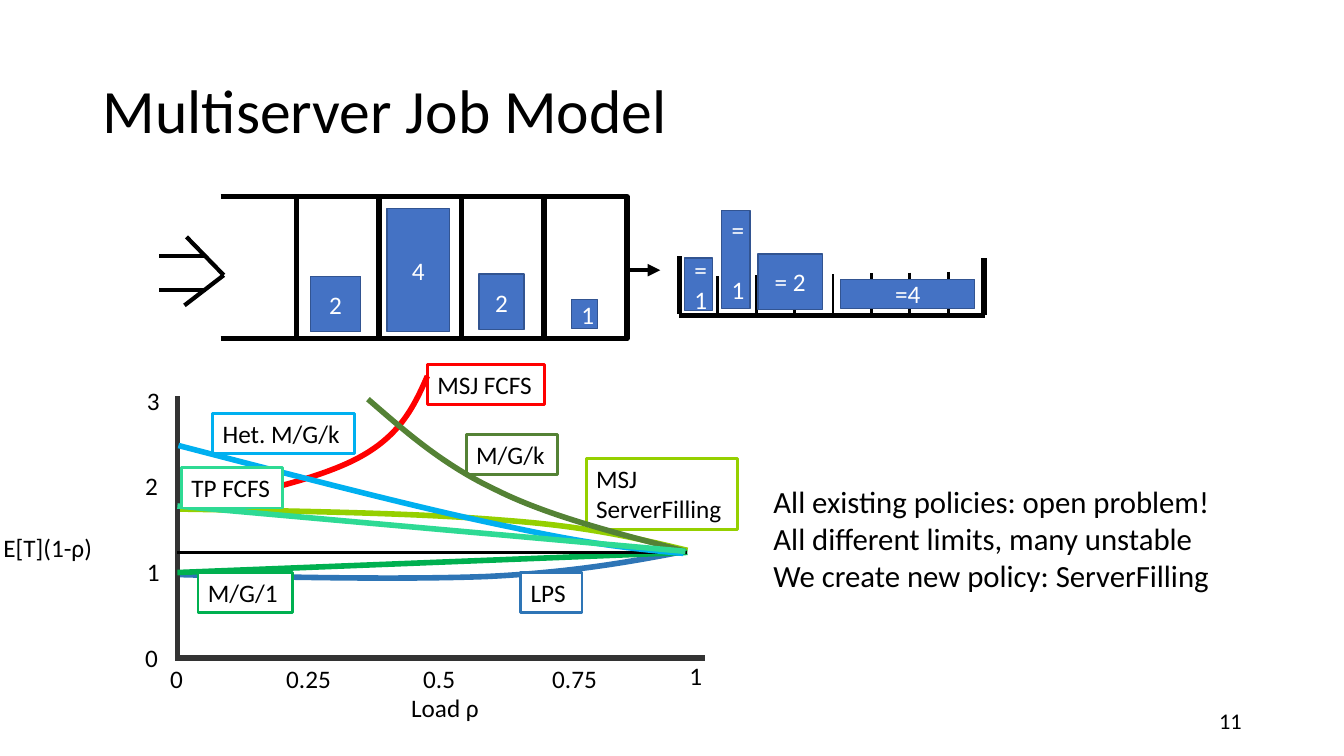
import pptx
import pptx.util
import pptx.dml.color
import pptx.enum.shapes
import pptx.enum.text
import pptx.oxml.ns
from dataclasses import dataclass
from lxml import etree


@dataclass(frozen=True)
class Theme:
    font: str = "Calibri"
    title_size: int = 44
    body_size: int = 22
    label_size: int = 18
    number_size: int = 16
    ink: str = "000000"
    paper: str = "FFFFFF"
    axis: str = "333333"
    job: str = "4472C4"
    job_edge: str = "325491"
    msj_fcfs: str = "FF0000"
    server_filling: str = "95D000"
    lps: str = "2E75B6"
    mg1: str = "00B050"
    mgk: str = "548235"
    het_mgk: str = "00B0F0"
    tp_fcfs: str = "2EDA94"


THEME = Theme()
CELL = pptx.util.Inches(0.1)
ALIGN = pptx.enum.text.PP_ALIGN
MIDDLE = pptx.enum.text.MSO_ANCHOR.MIDDLE
tag = pptx.oxml.ns.qn


def grid(*cells):
    return [round(cell * CELL) for cell in cells]


def rgb(colour):
    return pptx.dml.color.RGBColor.from_string(colour)


def set_line(shape, colour, weight):
    shape.line.color.rgb = rgb(colour)
    shape.line.width = pptx.util.Pt(weight)


def write(shape, words, size, colour, align=ALIGN.LEFT, anchor=None, spacing=None):
    frame = shape.text_frame
    frame.word_wrap = True
    frame.text = words
    if anchor is not None:
        frame.vertical_anchor = anchor
    for para in frame.paragraphs:
        para.alignment = align
        if spacing:
            para.line_spacing = spacing
        for span in para.runs:
            span.font.name = THEME.font
            span.font.size = pptx.util.Pt(size)
            span.font.color.rgb = rgb(colour)


def add_text(page, area, words, size=THEME.label_size, **layout):
    box = page.shapes.add_textbox(*grid(*area))
    write(box, words, size, THEME.ink, **layout)


def add_box(page, area, fill, edge, weight):
    box = page.shapes.add_shape(
        pptx.enum.shapes.MSO_SHAPE.RECTANGLE, *grid(*area))
    box.shadow.inherit = False
    if fill:
        box.fill.solid()
        box.fill.fore_color.rgb = rgb(fill)
    else:
        box.fill.background()
    set_line(box, edge, weight)
    return box


def add_job(page, area, words):
    job = add_box(page, area, THEME.job, THEME.job_edge, 1)
    write(job, words, THEME.label_size, THEME.paper, ALIGN.CENTER, MIDDLE)


def add_label(page, area, words, edge, fill=THEME.paper):
    label = add_box(page, area, fill, edge, 2)
    write(label, words, THEME.label_size, THEME.ink,
          anchor=pptx.enum.text.MSO_ANCHOR.TOP)


def add_line(page, ends, weight, colour=THEME.ink, arrow=False):
    line = page.shapes.add_connector(
        pptx.enum.shapes.MSO_CONNECTOR.STRAIGHT, *grid(*ends))
    set_line(line, colour, weight)
    if arrow:
        etree.SubElement(line.line._get_or_add_ln(), tag("a:tailEnd"), type="triangle")
    etree.SubElement(line._element.spPr, tag("a:effectLst"))


def bend(curve):
    segments = list(curve._element.iter(tag("a:lnTo")))
    for first in range(0, len(segments), 3):
        trio = segments[first:first + 3]
        bezier = etree.SubElement(trio[0].getparent(), tag("a:cubicBezTo"))
        for segment in trio:
            bezier.append(segment[0])
            segment.getparent().remove(segment)


def add_curve(page, nodes, colour):
    start, *others = [grid(*node) for node in nodes]
    builder = page.shapes.build_freeform(*start, scale=1.0)
    builder.add_line_segments(others, close=False)
    curve = builder.convert_to_shape()
    bend(curve)
    curve.shadow.inherit = False
    curve.fill.background()
    set_line(curve, colour, 4)


def draw_queue(page):
    for row in (19.5, 33.6):
        add_line(page, (21.9, row, 62.2, row), 4)
    for slot in reversed(range(4)):
        add_box(page, (29.4 + 8.2 * slot, 19.5, 8.2, 14.1), THEME.paper, THEME.ink, 4)
    add_line(page, (62.2, 26.8, 65.5, 26.8), 3, arrow=True)
    for area, need in (((38.4, 20.7, 6.2, 12.2), "4"), ((56.7, 29.7, 2.6, 2.9), "1"),
                       ((47.5, 27.2, 4.5, 5.5), "2"), ((30.8, 27.4, 5, 5.5), "2")):
        add_job(page, area, need)
    for ends in ((18.5, 23.5, 22.2, 27.3), (18.3, 30.3, 22.2, 27.3),
                 (15.8, 25.4, 20.4, 25.4), (15.8, 28.8, 20.4, 28.8)):
        add_line(page, ends, 3)


def draw_servers(page):
    for ends in ((97.6, 25.6, 97.6, 31.3), (67.4, 25.4, 67.4, 31.2),
                 (97.7, 31.3, 67.4, 31.3)):
        add_line(page, ends, 4)
    for server in reversed(range(7)):
        column, top = 71.2 + 3.81 * server, 27.4 - 0.07 * server
        add_line(page, (column, top, column, top + 4.1), 2)
    for area, need in (((83.4, 27.7, 13.3, 2.9), "=4"), ((75.2, 25.2, 6.4, 5.5), "= 2"),
                       ((71.6, 20.9, 2.8, 9.7), "= 1"), ((67.9, 25.6, 2.8, 5.2), "=1")):
        add_job(page, area, need)


def draw_axes(page):
    for column, load in zip((15.9, 27.4, 41, 53.8, 67.4), ("0", "0.25", "0.5", "0.75", "1")):
        add_text(page, (column, 65 if load == "1" else 65.3, 6.5, 4), load)
    add_line(page, (17.4, 65.3, 69.9, 65.3), 4, THEME.axis)
    add_text(page, (39.8, 68.2, 8.9, 4), "Load ρ")
    for value in reversed(range(4)):
        add_text(page, (13.4 + 0.2 * (value % 2), 63.2 - 8.5 * value, 4.8, 4), str(value))
    add_line(page, (17.6, 39.3, 17.6, 65.4), 4, THEME.axis)
    add_text(page, (-0.65, 52.3, 11.8, 4), "E[T](1-ρ)")


def draw_policies(page):
    add_curve(page, ((17.6, 50.5), (24.5, 49.1), (31.5, 47.6), (35.6, 45.4),
                     (39.7, 43.2), (41.1, 40.3), (42.4, 37.3)), THEME.msj_fcfs)
    add_label(page, (42.4, 36.15, 11.6, 4), "MSJ FCFS", THEME.msj_fcfs, None)
    add_curve(page, ((17.7, 50.5), (29.5, 50.7), (41.4, 50.9), (49.8, 51.6),
                     (58.2, 52.2), (63.2, 53.4), (68.2, 54.6)), THEME.server_filling)
    add_label(page, (58.15, 45.45, 15, 7.1), "MSJ ServerFilling", THEME.server_filling)
    add_curve(page, ((17.7, 57), (28.8, 57.3), (39.8, 57.5), (48.2, 57.2),
                     (56.5, 56.8), (62.2, 55.8), (67.9, 54.7)), THEME.lps)
    add_label(page, (51.65, 56.8, 6.1, 4), "LPS", THEME.lps)
    draw_axes(page)
    add_line(page, (17.6, 56.8, 68.2, 54.8), 4, THEME.mg1)
    add_label(page, (19.65, 56.8, 9.4, 4), "M/G/1", THEME.mg1)
    add_line(page, (17.6, 54.8, 68.2, 54.8), 2)
    add_curve(page, ((36.5, 39.6), (40.2, 42.8), (43.9, 46.1), (49.2, 48.6),
                     (54.4, 51.2), (61.2, 52.9), (68, 54.7)), THEME.mgk)
    add_label(page, (46.25, 43.1, 9.1, 4), "M/G/k", THEME.mgk, None)
    add_label(page, (21.1, 41, 14.1, 4), "Het. M/G/k", THEME.het_mgk, None)
    add_curve(page, ((17.7, 44.2), (30, 47.4), (42.3, 50.6), (50.7, 52.3),
                     (59, 54.1), (63.4, 54.5), (67.8, 54.9)), THEME.het_mgk)
    add_line(page, (17.6, 50.2, 68, 54.7), 4, THEME.tp_fcfs)
    add_label(page, (18, 46.4, 10, 4), "TP FCFS", THEME.tp_fcfs)


def main():
    deck = pptx.Presentation()
    deck.slide_width, deck.slide_height = grid(133.33, 75)
    page = deck.slides.add_slide(deck.slide_layouts[6])
    add_text(page, (9.2, 4, 115, 14.5), "Multiserver Job Model",
             THEME.title_size, anchor=MIDDLE, spacing=0.9)
    add_text(page, (94.17, 69.5, 30, 4), "11", THEME.number_size,
             align=ALIGN.RIGHT, anchor=MIDDLE)
    draw_queue(page)
    draw_servers(page)
    add_text(page, (75.75, 47.4, 48.4, 12.1),
             "All existing policies: open problem!\n"
             "All different limits, many unstable\n"
             "We create new policy: ServerFilling", THEME.body_size)
    draw_policies(page)
    deck.save("out.pptx")


if __name__ == "__main__":
    main()
